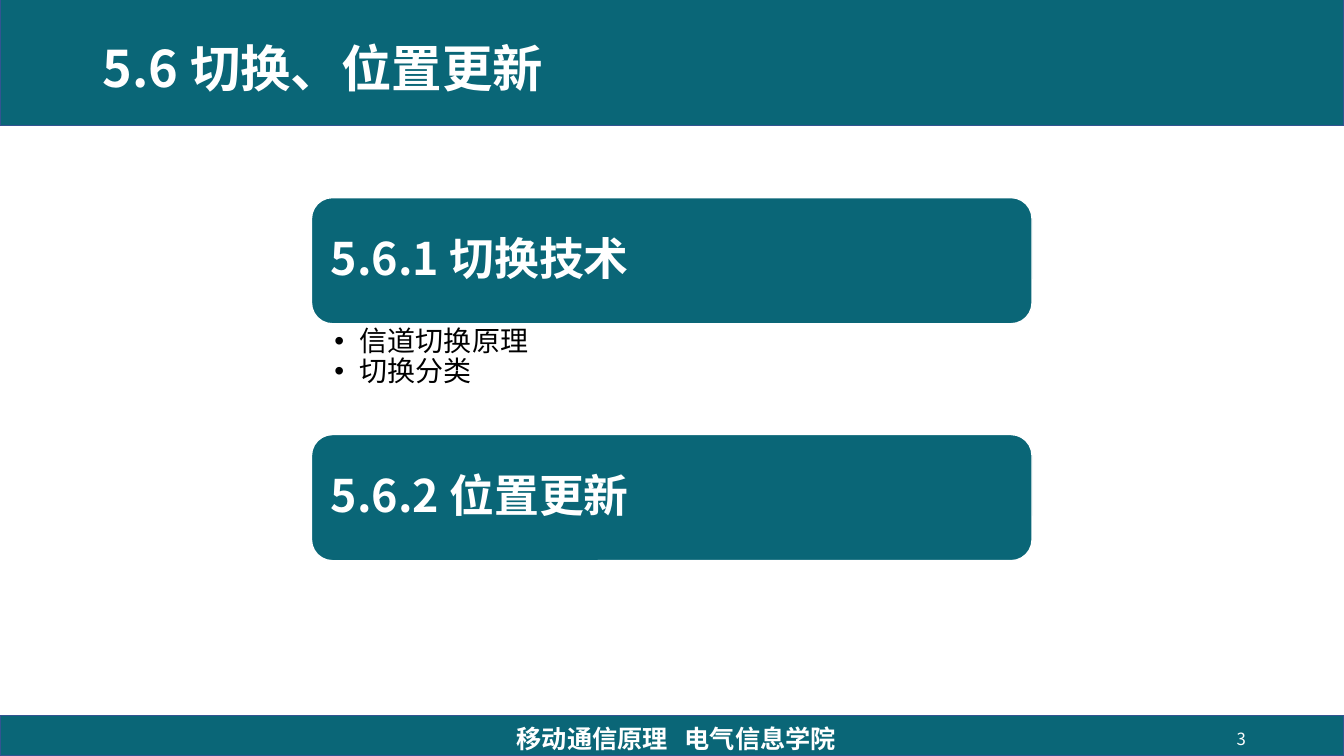
from pptx import Presentation
from pptx.dml.color import RGBColor
from pptx.enum.shapes import MSO_SHAPE as Shape
from pptx.enum.text import MSO_ANCHOR as Anchor, PP_ALIGN as Align
from pptx.oxml.ns import qn
from pptx.util import Cm, Pt
from lxml.etree import SubElement

TEAL = RGBColor(0x0A, 0x66, 0x77)
BLUE = RGBColor(0x32, 0x54, 0x91)
WHITE = RGBColor(0xFF, 0xFF, 0xFF)
BLACK = RGBColor(0, 0, 0)
FONT = "Noto Sans CJK SC"

WIDTH, HEIGHT = 33.87, 19.05
LEFT, TOP, WIDE = 7.85, 4.98, 18.16
CARD, PITCH = 3.18, 5.97
TOPICS = [
    ("5.6.1 切换技术", ["信道切换原理", "切换分类"]),
    ("5.6.2 位置更新", []),
]


def style(par, size, color=WHITE, bold=False, align=Align.LEFT, line=1.0):
    par.alignment = align
    par.line_spacing = line
    for run in par.runs:
        font = run.font
        font.name, font.size, font.bold = FONT, Pt(size), bold
        font.color.rgb = color
        SubElement(run._r.get_or_add_rPr(), qn("a:ea"), typeface=FONT)


def add_block(slide, kind, box, edge):
    block = slide.shapes.add_shape(kind, *map(Cm, box))
    block.shadow.inherit = False
    block.fill.solid()
    block.fill.fore_color.rgb = TEAL
    block.line.color.rgb = edge
    block.line.width = Pt(1)
    return block


def add_label(slide, box, text, size, **look):
    frame = slide.shapes.add_textbox(*map(Cm, box)).text_frame
    frame.word_wrap = True
    frame.vertical_anchor = Anchor.MIDDLE
    frame.text = text
    style(frame.paragraphs[0], size, **look)


def add_card(slide, top, text):
    card = add_block(slide, Shape.ROUNDED_RECTANGLE,
                     (LEFT, top, WIDE, CARD), WHITE)
    frame = card.text_frame
    frame.margin_left = frame.margin_right = Cm(0.33)
    frame.vertical_anchor = Anchor.MIDDLE
    frame.text = text
    style(frame.paragraphs[0], 32, bold=True, line=0.9)


def add_list(slide, top, items):
    box = LEFT, top, WIDE, PITCH - CARD
    frame = slide.shapes.add_textbox(*map(Cm, box)).text_frame
    frame.word_wrap = True
    frame.margin_left, frame.margin_right = Cm(0.58), Cm(0.41)
    frame.margin_top = frame.margin_bottom = Cm(0.08)
    frame.text = "\n".join(items)
    for par in frame.paragraphs:
        par.level = 1
        style(par, 20, color=BLACK, line=0.9)
        props = par._p.get_or_add_pPr()
        props.set("marL", str(Cm(0.64)))
        props.set("indent", str(-Cm(0.64)))
        SubElement(props, qn("a:buFont"), typeface="Arial")
        SubElement(props, qn("a:buChar"), char="•")


def add_foot(slide, box, parts):
    frame = slide.shapes.add_textbox(*map(Cm, box)).text_frame
    frame.word_wrap = True
    frame.vertical_anchor = Anchor.MIDDLE
    par = frame.paragraphs[0]
    for text in (parts[0], " ", parts[1]):
        par.add_run().text = text
    style(par, 18, bold=True, align=Align.CENTER)
    # Widen the gap between course and school
    par.runs[1]._r.get_or_add_rPr().set("spc", "800")


def main():
    deck = Presentation()
    deck.slide_width, deck.slide_height = Cm(WIDTH), Cm(HEIGHT)
    slide = deck.slides.add_slide(deck.slide_layouts[6])

    # Header and footer bands
    for top, high in ((-0.03, 3.2), (18.03, 1.02)):
        add_block(slide, Shape.RECTANGLE, (0, top, WIDTH, high), BLUE)

    # Topic cards with their points
    for row, (topic, items) in enumerate(TOPICS):
        top = TOP + row * PITCH
        add_card(slide, top, topic)
        if items:
            add_list(slide, top + CARD, items)

    # Title, page number and footer
    add_label(slide, (2.34, 0, 16.74, 3.61), "5.6 切换、位置更新", 36,
              bold=True, line=0.9)
    add_label(slide, (24.03, 18.11, 7.62, 1.02), "3", 12, align=Align.RIGHT)
    add_foot(slide, (11.33, 18.11, 11.43, 1.02),
             ("移动通信原理", "电气信息学院"))

    deck.save("out.pptx")


if __name__ == "__main__":
    main()
